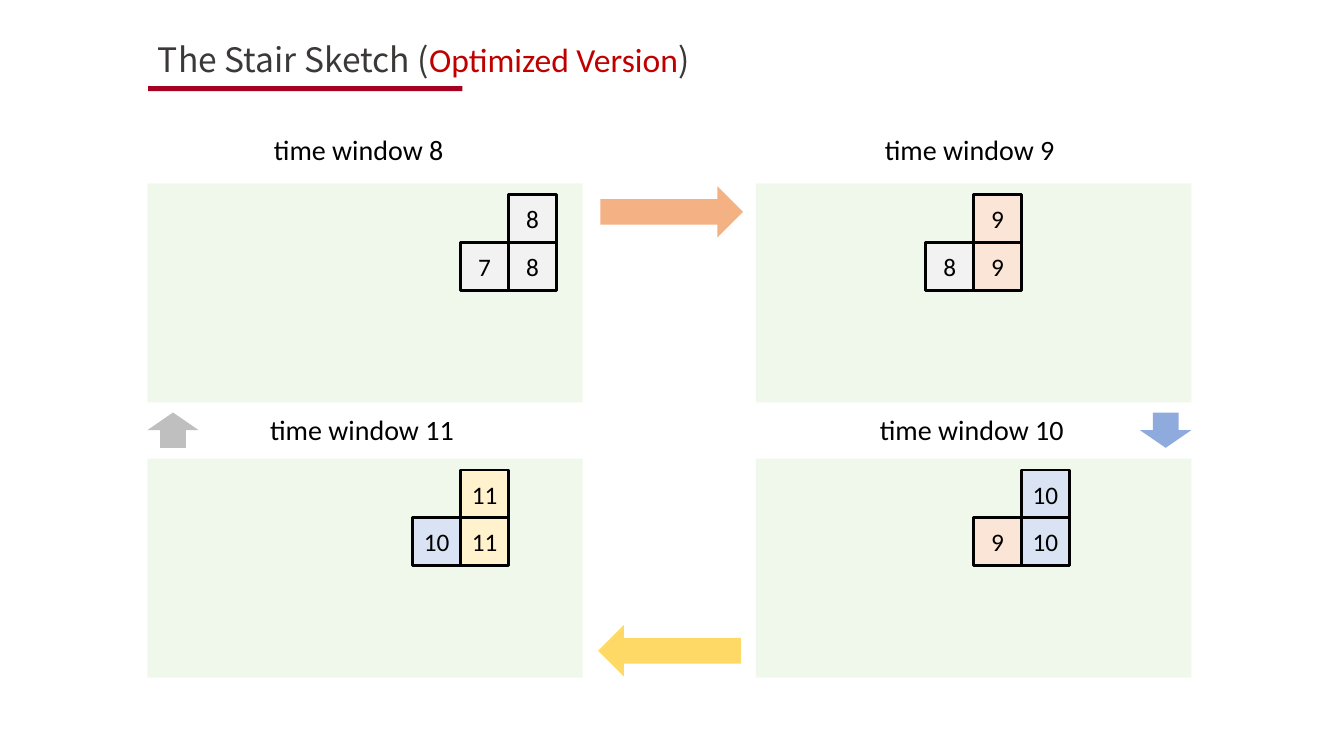
from typing import NamedTuple

from lxml import etree
from pptx import Presentation
from pptx.dml.color import RGBColor
from pptx.enum.shapes import MSO_SHAPE
from pptx.enum.text import MSO_ANCHOR, MSO_AUTO_SIZE, PP_ALIGN
from pptx.oxml.ns import qn
from pptx.util import Pt

RECTANGLE = MSO_SHAPE.RECTANGLE
RIGHT_ARROW = MSO_SHAPE.RIGHT_ARROW
MIDDLE = MSO_ANCHOR.MIDDLE
CENTER = PP_ALIGN.CENTER
GROW = MSO_AUTO_SIZE.SHAPE_TO_FIT_TEXT

COLORS = {
    "black": "000000", "title": "3B3838", "accent": "C00000", "rule": "A50021",
    "panel": "E2F0D9", "orange": "F4B183", "blue": "8FAADC",
    "yellow": "FFD966", "gray": "BFBFBF",
}
WINDOW_FILLS = {7: "F2F2F2", 8: "F2F2F2", 9: "FBE5D6", 10: "DAE3F3", 11: "FFF2CC"}
BODY_FONT = "Calibri"
TITLE_FONT = "Noto Sans CJK SC"

PANEL_WIDTH, PANEL_HEIGHT = 311, 156.5
LEFT_X, RIGHT_X = 105.2, 540
TOP_Y, BOTTOM_Y = 131, 327.6
CELL = 34.2
FIRST_STEP_X, STAIR_Y = 121.2, 8.1


class Box(NamedTuple):
    left: float
    top: float
    width: float
    height: float


class Window(NamedTuple):
    number: int
    left: float
    top: float
    step: int
    label: Box


class Arrow(NamedTuple):
    box: Box
    rotation: int
    color: str


WINDOWS = [
    Window(8, LEFT_X, TOP_Y, 3, Box(188.6, 91.4, 139.7, 31.7)),
    Window(9, RIGHT_X, TOP_Y, 0, Box(625, 91.4, 139.7, 31.7)),
    Window(10, RIGHT_X, BOTTOM_Y, 1, Box(621.4, 290.9, 149.8, 31.7)),
    Window(11, LEFT_X, BOTTOM_Y, 2, Box(185.8, 290.9, 149.8, 31.7)),
]
ARROWS = [
    Arrow(Box(428.8, 133, 102, 36.7), 0, "orange"),
    Arrow(Box(820, 288.9, 25.2, 36.7), 90, "blue"),
    Arrow(Box(427.2, 446.5, 102, 36.7), 180, "yellow"),
    Arrow(Box(111, 288.9, 25.2, 36.7), 270, "gray"),
]


def in_points(box: Box) -> list:
    return [Pt(length) for length in box]


def add_run(paragraph, text: str, size: float, font: str, color: str) -> None:
    run = paragraph.add_run()
    run.text = text
    for name, value in {"size": Pt(size), "name": font}.items():
        setattr(run.font, name, value)
    run.font.color.rgb = RGBColor.from_string(color)


def add_filled(slide, preset, box: Box, fill: str):
    """Add a preset shape with a plain fill, no outline and no shadow."""
    shape = slide.shapes.add_shape(preset, *in_points(box))
    shape.shadow.inherit = False
    shape.fill.solid()
    shape.fill.fore_color.rgb = RGBColor.from_string(fill)
    shape.line.fill.background()
    return shape


def add_text(slide, box: Box, wrap: bool):
    """Add an empty text box and return its first paragraph."""
    frame = slide.shapes.add_textbox(*in_points(box)).text_frame
    for name, value in {"word_wrap": wrap, "auto_size": GROW}.items():
        setattr(frame, name, value)
    return frame.paragraphs[0]


def add_panel(slide, window: Window) -> None:
    panel = add_filled(slide, RECTANGLE,
                       Box(window.left, window.top, PANEL_WIDTH, PANEL_HEIGHT),
                       COLORS["panel"])
    color = panel.fill._xPr.find(qn("a:solidFill"))[0]
    etree.SubElement(color, qn("a:alpha")).set("val", "50000")


def add_cell(slide, left: float, top: float, number: int) -> None:
    cell = add_filled(slide, RECTANGLE, Box(left, top, CELL, CELL),
                      WINDOW_FILLS[number])
    cell.line.color.rgb = RGBColor.from_string(COLORS["black"])
    cell.line.width = Pt(2)
    frame = cell.text_frame
    layout = {"vertical_anchor": MIDDLE, "margin_left": 0, "margin_right": 0}
    for name, value in layout.items():
        setattr(frame, name, value)
    paragraph = frame.paragraphs[0]
    paragraph.alignment = CENTER
    add_run(paragraph, str(number), 18, BODY_FONT, COLORS["black"])


def add_window(slide, window: Window) -> None:
    """Add a panel, its label and the stair of the previous and current window."""
    add_panel(slide, window)
    left = window.left + FIRST_STEP_X + window.step * CELL
    top = window.top + STAIR_Y
    add_cell(slide, left, top + CELL, window.number - 1)
    for row in (1, 0):
        add_cell(slide, left + CELL, top + row * CELL, window.number)
    label = add_text(slide, window.label, wrap=False)
    add_run(label, f"time window {window.number}", 20, BODY_FONT, COLORS["black"])


def add_title(slide) -> None:
    title = add_text(slide, Box(105.8, 24.5, 763.2, 36), wrap=True)
    for text, font, color in [
        ("The Stair Sketch (", TITLE_FONT, "title"),
        ("Optimized Version", BODY_FONT, "accent"),
        (")", TITLE_FONT, "title"),
    ]:
        add_run(title, text, 24, font, COLORS[color])
    add_filled(slide, RECTANGLE, Box(105.8, 61.5, 224.6, 3.6), COLORS["rule"])


def main() -> None:
    presentation = Presentation()
    presentation.slide_width, presentation.slide_height = Pt(960), Pt(540)
    slide = presentation.slides.add_slide(presentation.slide_layouts[6])
    add_title(slide)
    for window in WINDOWS:
        add_window(slide, window)
    for arrow in ARROWS:
        shape = add_filled(slide, RIGHT_ARROW, arrow.box, COLORS[arrow.color])
        shape.rotation = arrow.rotation
    presentation.save("out.pptx")


if __name__ == "__main__":
    main()
